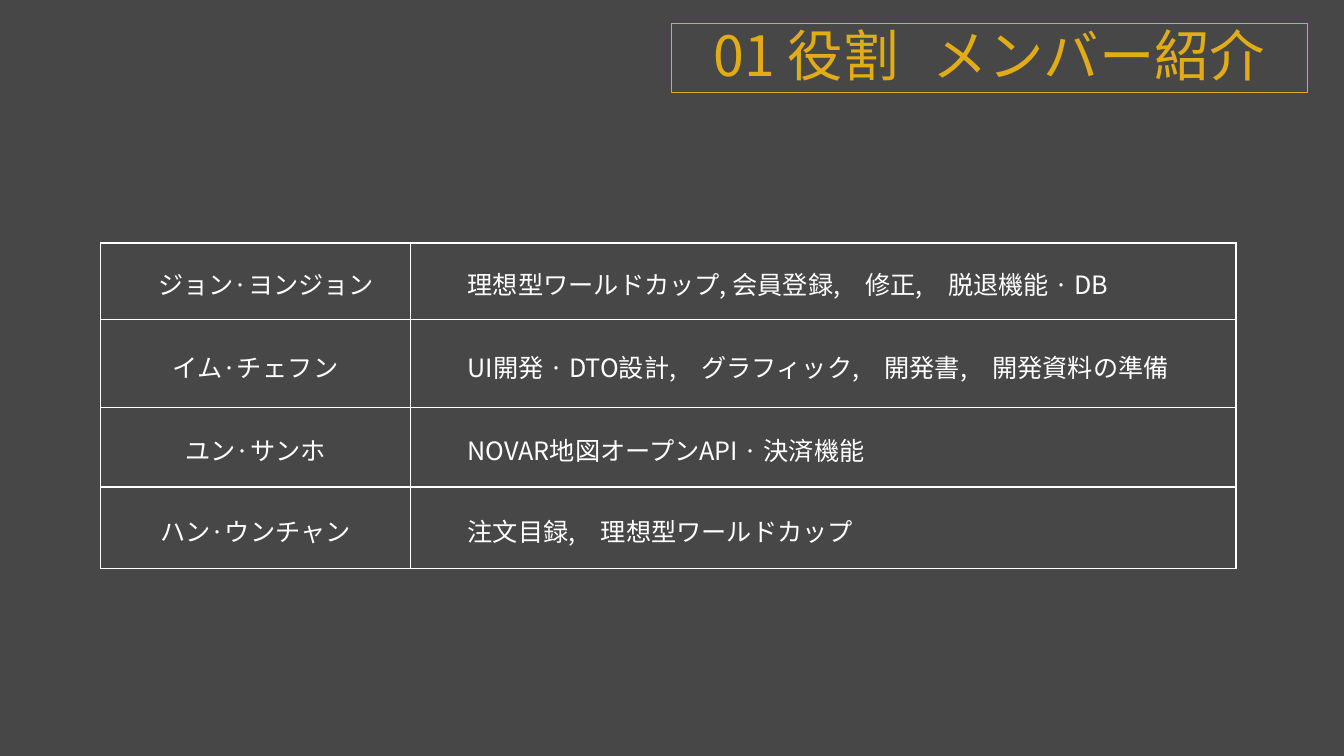
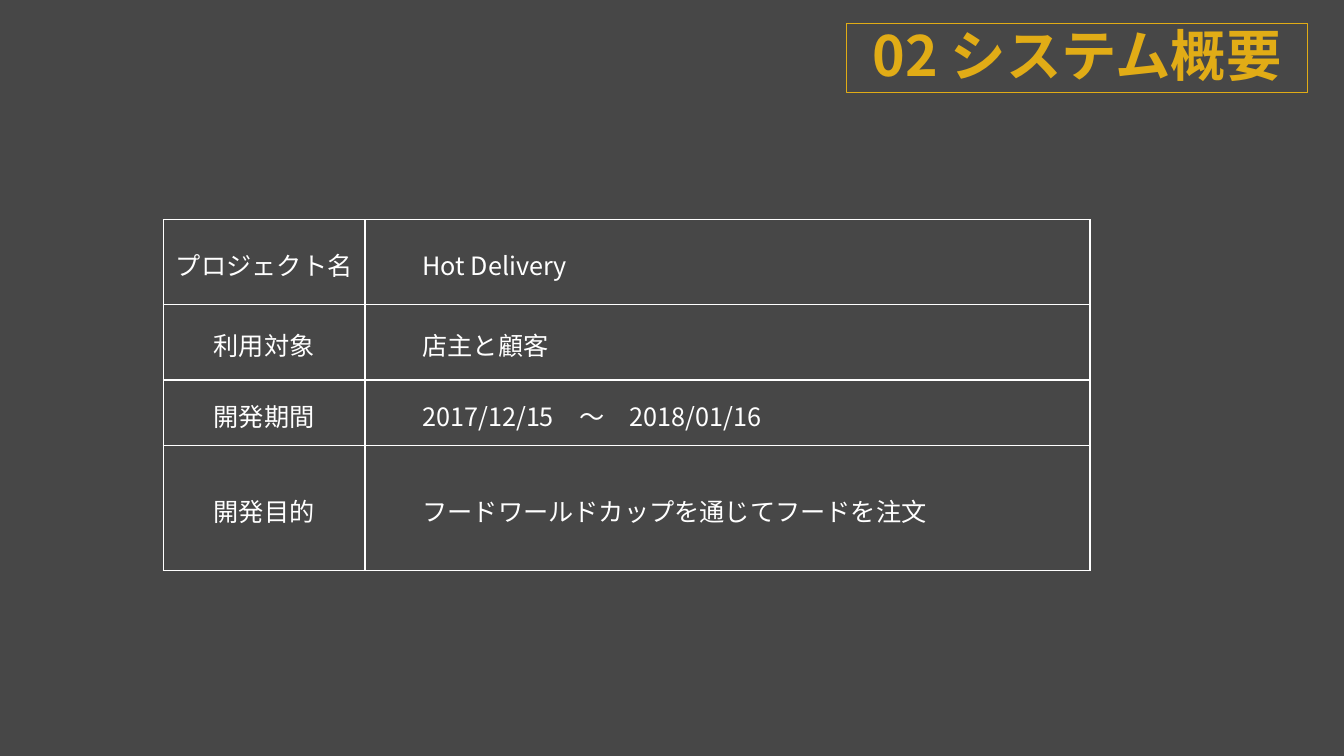
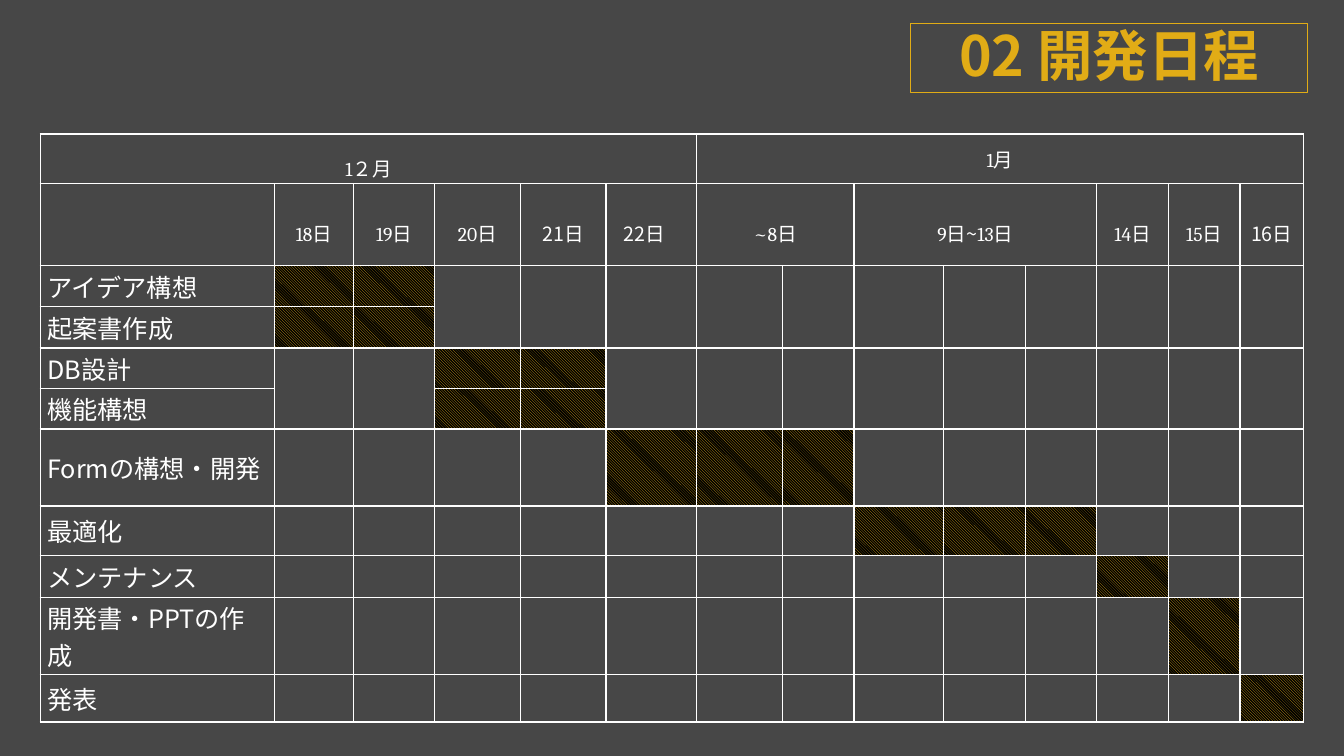
"""Build three dark project slides: team roles, system overview and development schedule."""
from lxml.etree import SubElement
from pptx import Presentation
from pptx.dml.color import RGBColor
from pptx.enum.dml import MSO_PATTERN
from pptx.enum.shapes import MSO_SHAPE
from pptx.enum.text import MSO_ANCHOR, PP_ALIGN
from pptx.oxml.ns import qn
from pptx.util import Inches, Pt

BACKGROUND, GOLD, AMBER = "474747", "E1AC16", "FFC000"
WHITE, BLACK = "FFFFFF", "000000"
JP, KR, SERIF = "Noto Sans CJK JP", "Noto Sans CJK KR", "Cambria"
TITLE_RIGHT = 12.97
CELL_SIDE, CELL_INDENT = 0.07, 0.57

deck = Presentation()
deck.slide_width, deck.slide_height = Inches(13.33), Inches(7.5)


def add_run(paragraph, text, size, color=WHITE, font=JP, bold=False):
    """Append one run with its Latin and East Asian fonts."""
    run = paragraph.add_run()
    run.text = text
    run.font.size, run.font.bold, run.font.name = Pt(size), bold, font
    run.font.color.rgb = RGBColor.from_string(color)
    east_asian = SubElement(run.font._element, qn("a:ea"))
    east_asian.set("typeface", JP if font == SERIF else font)


def add_page(title_left, title_parts, bold, left, top, widths, heights):
    """Add a slide with its framed title and an empty outlined table."""
    slide = deck.slides.add_slide(deck.slide_layouts[6])
    slide.background.fill.solid()
    slide.background.fill.fore_color.rgb = RGBColor.from_string(BACKGROUND)

    title = slide.shapes.add_shape(
        MSO_SHAPE.RECTANGLE, Inches(title_left), Inches(0.23),
        Inches(TITLE_RIGHT - title_left), Inches(0.69))
    title.shadow.inherit = False
    title.fill.background()
    title.line.color.rgb = RGBColor.from_string(GOLD)
    title.line.width = Pt(0.75)
    title.text_frame.word_wrap = True
    title.text_frame.vertical_anchor = MSO_ANCHOR.BOTTOM
    heading = title.text_frame.paragraphs[0]
    heading.alignment, heading.line_spacing = PP_ALIGN.CENTER, 0.85
    for text, size, color in title_parts:
        add_run(heading, text, size, color, bold=bold)

    table = slide.shapes.add_table(
        len(heights), len(widths), Inches(left), Inches(top),
        Inches(sum(widths)), Inches(sum(heights))).table
    table.first_row = table.horz_banding = False
    for column, width in zip(table.columns, widths):
        column.width = Inches(width)
    for row, height in zip(table.rows, heights):
        row.height = Inches(height)
    for cell in table.iter_cells():
        cell.margin_left = cell.margin_right = Inches(CELL_SIDE)
        cell.margin_top = cell.margin_bottom = Inches(0.02)
        cell.vertical_anchor = MSO_ANCHOR.MIDDLE
        for side in ("a:lnL", "a:lnR", "a:lnT", "a:lnB"):
            border = SubElement(cell._tc.get_or_add_tcPr(), qn(side), w=str(Pt(1)))
            SubElement(SubElement(border, qn("a:solidFill")), qn("a:srgbClr"), val=WHITE)
        cell.fill.background()
    return table


members = add_page(
    6.66, [("01 役割", 39.6, GOLD), ("　", 24.3, AMBER), ("メンバー紹介", 39.6, GOLD)],
    False, 1, 2.41, [3.07, 8.19], [0.76, 0.79, 0.79, 0.81])
overview = add_page(
    8.4, [("02 システム概要", 39.6, GOLD)],
    True, 1.62, 2.18, [2, 7.19], [0.84, 0.75, 0.65, 1.24])
schedule = add_page(
    9.03, [("02 開発日程", 39.6, GOLD)], True, 0.4, 1.33,
    [2.32, 0.79, 0.8, 0.85, 0.85, 0.9, 0.85, 0.71, 0.89, 0.81, 0.71, 0.71, 0.71, 0.63],
    [0.42, 0.81, 0.41, 0.41, 0.39, 0.39, 0.56, 0.49, 0.42, 0.51, 0.47])

DOT = "· "
member_rows = [
    ("ジョン·ヨンジョン", ["理想型ワールドカップ, 会員登録,　修正,　脱退機能 ", DOT, "DB"]),
    ("イム·チェフン", ["UI開発 ", DOT, "DTO設計,　グラフィック,　開発書,　開発資料の準備"]),
    ("ユン·サンホ", ["NOVAR地図オープンAPI ", DOT, "決済機能"]),
    ("ハン·ウンチャン", ["注文目録,　理想型ワールドカップ"]),
]
overview_rows = [
    ("プロジェクト名", ["Hot Delivery"]),
    ("利用対象", ["店主と顧客"]),
    ("開発期間", ["2017/12/15　～　2018/01/16"]),
    ("開発目的", ["フードワールドカップを通じてフードを注文"]),
]
for table, rows in ((members, member_rows), (overview, overview_rows)):
    for row, (label, details) in enumerate(rows):
        table.cell(row, 1).margin_left = Inches(CELL_INDENT)
        for column, parts in enumerate(([label], details)):
            paragraph = table.cell(row, column).text_frame.paragraphs[0]
            paragraph.alignment = PP_ALIGN.JUSTIFY if column else PP_ALIGN.CENTER
            paragraph.line_spacing, paragraph.space_after = 1.15, Pt(10)
            for part in parts:
                add_run(paragraph, part, 18, font=KR if part == DOT else JP)

first_member = members.cell(0, 0)
first_member.margin_left = Inches(CELL_INDENT)
first_member.text_frame.paragraphs[0].alignment = PP_ALIGN.JUSTIFY

date_headings = [
    (0, 0, 6, [("1２", SERIF), ("月", JP)]),
    (0, 6, 8, [("1月", SERIF)]),
    (1, 1, 1, [("18日", SERIF)]),
    (1, 2, 1, [("19日", SERIF)]),
    (1, 3, 1, [("20日", SERIF)]),
    (1, 4, 1, [("21", KR), ("日", SERIF)]),
    (1, 5, 1, [("22", KR), ("日", SERIF)]),
    (1, 6, 2, [("~8日", SERIF)]),
    (1, 8, 3, [("9日", SERIF), ("~", KR), ("13日", SERIF)]),
    (1, 11, 1, [("14日", SERIF)]),
    (1, 12, 1, [("15日", SERIF)]),
    (1, 13, 1, [("16", KR), ("日", SERIF)]),
]
for row, column, span, parts in date_headings:
    cell = schedule.cell(row, column)
    if span > 1:
        cell.merge(schedule.cell(row, column + span - 1))
    paragraph = cell.text_frame.paragraphs[0]
    paragraph.alignment = PP_ALIGN.CENTER
    paragraph.line_spacing = 1.0 if (row, column) == (0, 6) else 1.6
    for text, font in parts:
        add_run(paragraph, text, 14, font=font)
schedule.cell(1, 5).margin_right = Inches(0.2)

tasks = [
    ("アイデア構想", 1, 2),
    ("起案書作成", 1, 2),
    ("DB設計", 3, 4),
    ("機能構想", 3, 4),
    ("Formの構想・開発", 5, 7),
    ("最適化", 8, 10),
    ("メンテナンス", 11, 11),
    ("開発書・PPTの作成", 12, 12),
    ("発表", 13, 13),
]
for row, (task, start, end) in enumerate(tasks, 2):
    add_run(schedule.cell(row, 0).text_frame.paragraphs[0], task, 18)
    for column in range(1, 14):
        cell = schedule.cell(row, column)
        if start <= column <= end:
            cell.fill.patterned()
            cell.fill.pattern = MSO_PATTERN.DARK_DOWNWARD_DIAGONAL
            cell.fill.fore_color.rgb = RGBColor.from_string(GOLD)
            cell.fill.back_color.rgb = RGBColor.from_string(BLACK)
        elif row in (2, 4):
            cell.merge(schedule.cell(row + 1, column))

deck.save("out.pptx")
